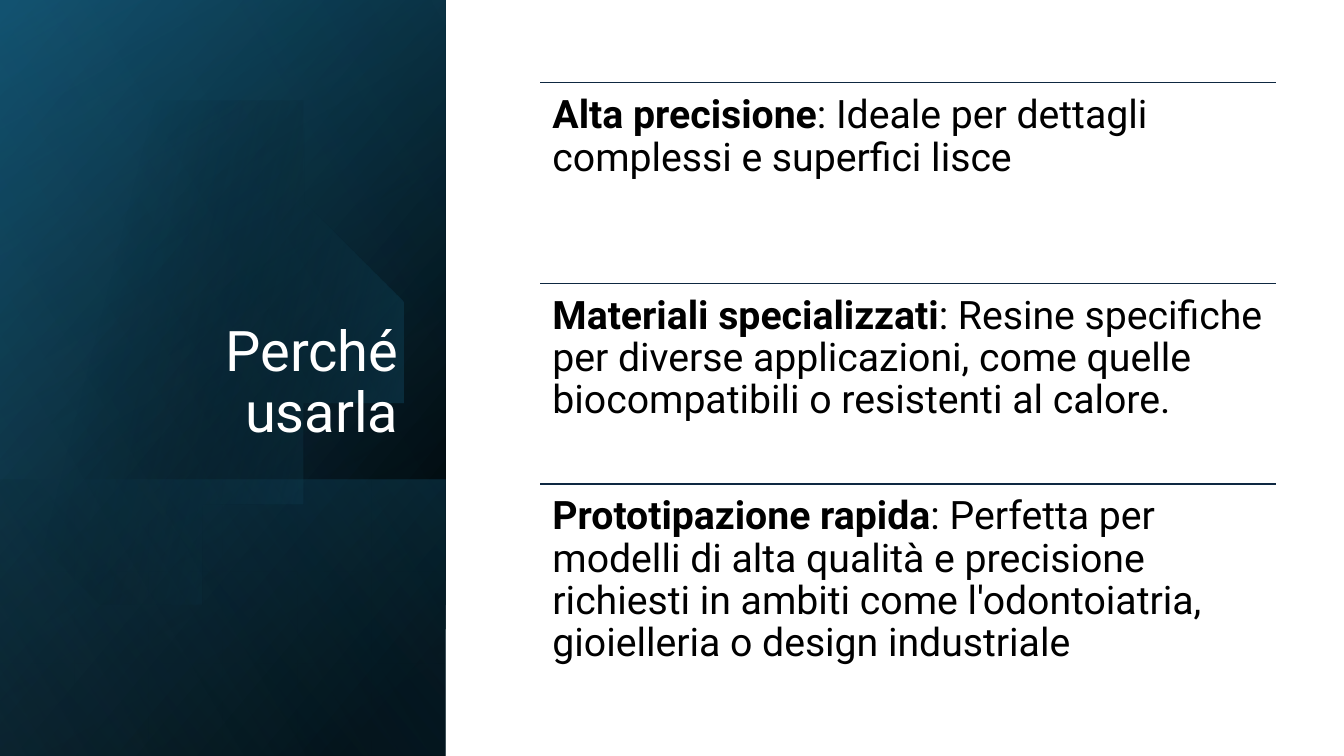
import math

import pptx
import pptx.dml.color
import pptx.enum.shapes
import pptx.enum.text
import pptx.oxml.ns
import pptx.util
from lxml import etree

SLIDE_W, SLIDE_H = 13.33, 7.5
PANEL_W = 4.42
REASONS_LEFT, REASONS_TOP, REASONS_W, ROW_H = 5.36, 0.82, 7.3, 1.99
DISC_X, DISC_Y, DISC_R = 1.43, 3.39, 2.29
INK, DEEP_BLUE, BLUE, SKY = "000000", "104862", "156082", "46B1E1"

# top, height, angle (clockwise), stops of (percent, colour, opacity percent)
PANEL_LAYERS = [
    (0, SLIDE_H, 220, [(8, INK, 100), (100, DEEP_BLUE, 100)]),
    (0, SLIDE_H, 240, [(0, INK, 0), (99, BLUE, 46)]),
    (4.76, SLIDE_H - 4.76, 140, [(2, BLUE, 29), (100, INK, 30)]),
]
DISC_GRADIENT = (14, [(29, INK, 0), (100, BLUE, 43)])
GLOW = (0, SLIDE_H, 150, [(0, INK, 0), (99, SKY, 11)])

REASONS = [
    ("Alta precisione", ": Ideale per dettagli complessi e superfici lisce"),
    ("Materiali specializzati",
     ": Resine specifiche per diverse applicazioni, come quelle "
     "biocompatibili o resistenti al calore."),
    ("Prototipazione rapida",
     ": Perfetta per modelli di alta qualità e precisione richiesti in ambiti "
     "come l'odontoiatria, gioielleria o design industriale"),
]


def inches(*lengths):
    return [pptx.util.Inches(length) for length in lengths]


def colour(code):
    return pptx.dml.color.RGBColor.from_string(code)


def apply(target, values):
    for name, value in values.items():
        setattr(target, name, value)


def fill_gradient(shape, angle, stops):
    """Fill with a two-stop linear gradient; python-pptx counts angles anticlockwise."""
    shape.shadow.inherit = False
    shape.line.fill.background()
    shape.fill.gradient()
    shape.fill.gradient_angle = 360 - angle
    for stop, (position, code, _) in zip(shape.fill.gradient_stops, stops):
        stop.position = position / 100
        stop.color.rgb = colour(code)
    tag = pptx.oxml.ns.qn("a:srgbClr")
    for element, (_, _, opacity) in zip(shape.fill._xPr.iter(tag), stops):
        alpha = etree.SubElement(element, pptx.oxml.ns.qn("a:alpha"))
        alpha.set("val", str(opacity * 1000))


def add_panel_layer(slide, top, height, angle, stops):
    layer = slide.shapes.add_shape(
        pptx.enum.shapes.MSO_SHAPE.RECTANGLE, *inches(0, top, PANEL_W, height))
    fill_gradient(layer, angle, stops)


def add_disc(slide):
    """Draw the circle as far as the slide's left edge, where it is cut."""
    reach = math.acos(-DISC_X / DISC_R)
    steps = 90
    angles = [reach * (2 * step / steps - 1) for step in range(steps + 1)]
    points = [(DISC_X + DISC_R * math.cos(angle), DISC_Y + DISC_R * math.sin(angle))
              for angle in angles]
    outline = slide.shapes.build_freeform(*points[0], scale=pptx.util.Inches(1))
    outline.add_line_segments(points[1:], close=True)
    fill_gradient(outline.convert_to_shape(), *DISC_GRADIENT)


def add_run(paragraph, text, size, code, bold=False):
    run = paragraph.add_run()
    run.text = text
    apply(run.font, {"name": "Roboto", "size": pptx.util.Pt(size), "bold": bold})
    run.font.color.rgb = colour(code)


def set_title(slide, text):
    title = slide.shapes.title
    apply(title, dict(zip(("left", "top", "width", "height"),
                          inches(0.64, 1.84, 3.41, 2.62))))
    apply(title.text_frame, {
        "word_wrap": True,
        "auto_size": pptx.enum.text.MSO_AUTO_SIZE.NONE,
        "vertical_anchor": pptx.enum.text.MSO_ANCHOR.BOTTOM,
    })
    paragraph = title.text_frame.paragraphs[0]
    apply(paragraph, {"alignment": pptx.enum.text.PP_ALIGN.RIGHT, "line_spacing": 0.9})
    add_run(paragraph, text, 40, "FFFFFF")
    # The title lies above the panel's layers.
    slide.shapes._spTree.append(title._element)


def add_rule(slide, top):
    rule = slide.shapes.add_connector(
        pptx.enum.shapes.MSO_CONNECTOR.STRAIGHT,
        *inches(REASONS_LEFT, top, REASONS_LEFT + REASONS_W, top))
    rule.line.color.rgb = colour("0E2841")
    rule.line.width = pptx.util.Pt(1)
    etree.SubElement(rule._element.spPr, pptx.oxml.ns.qn("a:effectLst"))


def add_reason(slide, row, heading, detail):
    top = REASONS_TOP + row * ROW_H
    add_rule(slide, top)
    frame = slide.shapes.add_textbox(
        *inches(REASONS_LEFT, top, REASONS_W, ROW_H)).text_frame
    margins = ("margin_left", "margin_top", "margin_right", "margin_bottom")
    apply(frame, {"word_wrap": True, **dict.fromkeys(margins, pptx.util.Inches(0.12))})
    paragraph = frame.paragraphs[0]
    paragraph.line_spacing = 0.9
    add_run(paragraph, heading, 28, INK, bold=True)
    add_run(paragraph, detail, 28, INK)


def main():
    deck = pptx.Presentation()
    apply(deck, dict(zip(("slide_width", "slide_height"), inches(SLIDE_W, SLIDE_H))))
    slide = deck.slides.add_slide(deck.slide_layouts[5])
    for layer in PANEL_LAYERS:
        add_panel_layer(slide, *layer)
    add_disc(slide)
    add_panel_layer(slide, *GLOW)
    set_title(slide, "Perché usarla")
    for row, (heading, detail) in enumerate(REASONS):
        add_reason(slide, row, heading, detail)
    deck.save("out.pptx")


if __name__ == "__main__":
    main()
